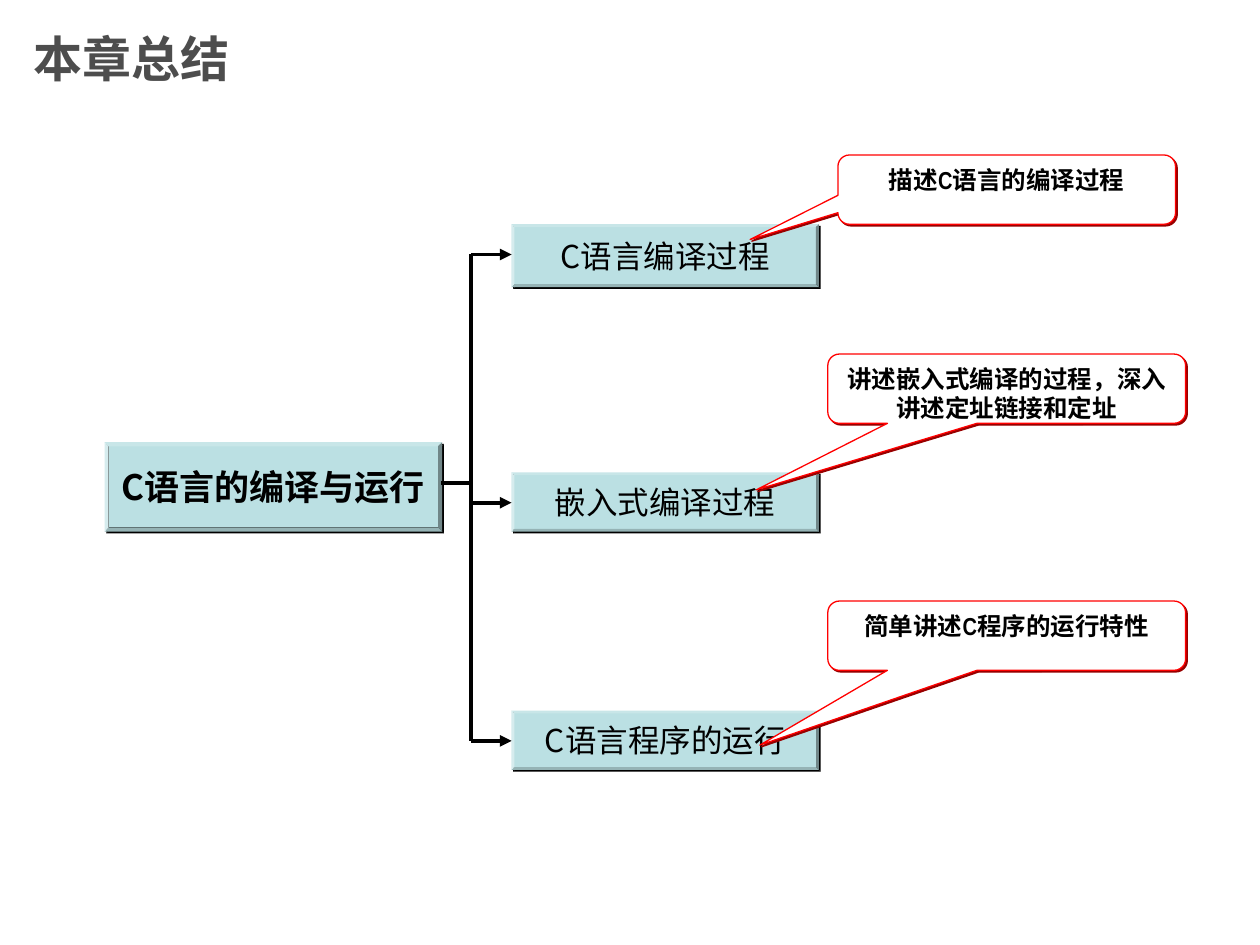
from dataclasses import dataclass
from lxml import etree
from pptx import Presentation
from pptx import util as u
from pptx.dml.color import RGBColor
from pptx.enum import shapes, text
from pptx.oxml.ns import qn


@dataclass(frozen=True)
class Theme:
    ink: str = "000000"
    title: str = "4D4D4D"
    node: str = "BBE0E3"
    paper: str = "FFFFFF"
    accent: str = "FF0000"
    accent_shadow: str = "980000"
    cjk: str = "Noto Sans CJK SC"
    title_font: str = "Arial"
    note_font: str = "Arial Narrow"
    title_size: float = 28
    root_size: float = 20
    node_size: float = 18
    note_size: float = 14
    wire: float = 2.25
    outline: float = 0.75


class Deck:
    columns, rows = 100, 75

    def __init__(self, theme):
        self.theme = theme
        self.prs = Presentation()
        self.prs.slide_width, self.prs.slide_height = u.Inches(10), u.Inches(7.5)
        self.s = self.prs.slides.add_slide(self.prs.slide_layouts[6])

    def x(self, columns):
        return round(self.prs.slide_width * columns / self.columns)

    def y(self, rows):
        return round(self.prs.slide_height * rows / self.rows)

    def box(self, left, top, width, height):
        return self.x(left), self.y(top), self.x(width), self.y(height)

    def label(self, sp, words, font, size, color, bold, align, anchor, wrap):
        tf = sp.text_frame
        tf.text = words
        tf.word_wrap = wrap
        tf.vertical_anchor = anchor
        p = tf.paragraphs[0]
        p.alignment = align
        r = p.runs[0]
        r.font.name, r.font.size, r.font.bold = font, u.Pt(size), bold
        r.font.color.rgb = RGBColor.from_string(color)
        ea = etree.SubElement(r._r.get_or_add_rPr(), qn("a:ea"))
        ea.set("typeface", self.theme.cjk)

    def hard_shadow(self, sp, color):
        sp.shadow.inherit = False
        effects = sp._element.spPr.find(qn("a:effectLst"))
        shadow = etree.SubElement(effects, qn("a:outerShdw"), blurRad="0",
                                  dist=str(u.Pt(1.4)), dir="2700000", algn="ctr", rotWithShape="0")
        etree.SubElement(shadow, qn("a:srgbClr"), val=color)

    def shape(self, kind, area, adjustments, fill, shadow):
        sp = self.s.shapes.add_shape(kind, *self.box(*area))
        for i, value in enumerate(adjustments):
            sp.adjustments[i] = value
        sp.fill.solid()
        sp.fill.fore_color.rgb = RGBColor.from_string(fill)
        sp.line.fill.background()
        self.hard_shadow(sp, shadow)
        return sp

    def title(self, words, area):
        t = self.theme
        sp = self.s.shapes.add_textbox(*self.box(*area))
        self.label(sp, words, t.title_font, t.title_size, t.title, True,
                   text.PP_ALIGN.LEFT, text.MSO_ANCHOR.MIDDLE, True)

    def node(self, words, area, root=False):
        t = self.theme
        sp = self.shape(shapes.MSO_SHAPE.BEVEL, area, [0.047], t.node, t.ink)
        self.label(sp, words, t.cjk, t.root_size if root else t.node_size, t.ink, root,
                   text.PP_ALIGN.CENTER, text.MSO_ANCHOR.MIDDLE, False)

    def callout(self, words, area, tip):
        t = self.theme
        sp = self.shape(shapes.MSO_SHAPE.ROUNDED_RECTANGULAR_CALLOUT, area,
                        [*tip, 0.167], t.paper, t.accent_shadow)
        sp.line.color.rgb = RGBColor.from_string(t.accent)
        sp.line.width = u.Pt(t.outline)
        self.label(sp, words, t.note_font, t.note_size, t.ink, True,
                   text.PP_ALIGN.CENTER, text.MSO_ANCHOR.TOP, True)

    def wire(self, x1, y1, x2, y2, arrow=False):
        c = self.s.shapes.add_connector(shapes.MSO_CONNECTOR.STRAIGHT, self.x(x1), self.y(y1),
                                        self.x(x2), self.y(y2))
        c.line.color.rgb = RGBColor.from_string(self.theme.ink)
        c.line.width = u.Pt(self.theme.wire)
        if arrow:
            ln = c._element.spPr.find(qn("a:ln"))
            etree.SubElement(ln, qn("a:tailEnd"), type="triangle")
        etree.SubElement(c._element.spPr, qn("a:effectLst"))


def main():
    deck = Deck(Theme())
    deck.title("本章总结", (1.7, 0, 75, 9.2))
    deck.node("C语言的编译与运行", (8.3, 35.1, 26.8, 7.1), root=True)

    trunk, node_left, node_width = 37.4, 40.6, 24.4
    branches = [
        ("C语言编译过程", 17.8, 5, 20.2,
         "描述C语言的编译过程", (66.5, 12.3, 26.8, 5.5), (-0.76, 0.72)),
        ("嵌入式编译过程", 37.5, 4.7, 39.9,
         "讲述嵌入式编译的过程，深入讲述定址链接和定址", (65.7, 28.1, 28.4, 5.5), (-0.7, 1.46)),
        ("C语言程序的运行", 56.4, 4.7, 58.8,
         "简单讲述C程序的运行特性", (65.7, 47.7, 28.4, 5.5), (-0.69, 1.58)),
    ]
    deck.wire(trunk, branches[0][3], trunk, branches[-1][3])
    deck.wire(35, 38.3, trunk, 38.3)
    for name, top, height, level, *_ in branches:
        deck.node(name, (node_left, top, node_width, height))
        deck.wire(trunk, level, node_left, level, arrow=True)
    for *_, note, area, tip in branches:
        deck.callout(note, area, tip)
    deck.prs.save("out.pptx")


if __name__ == "__main__":
    main()
